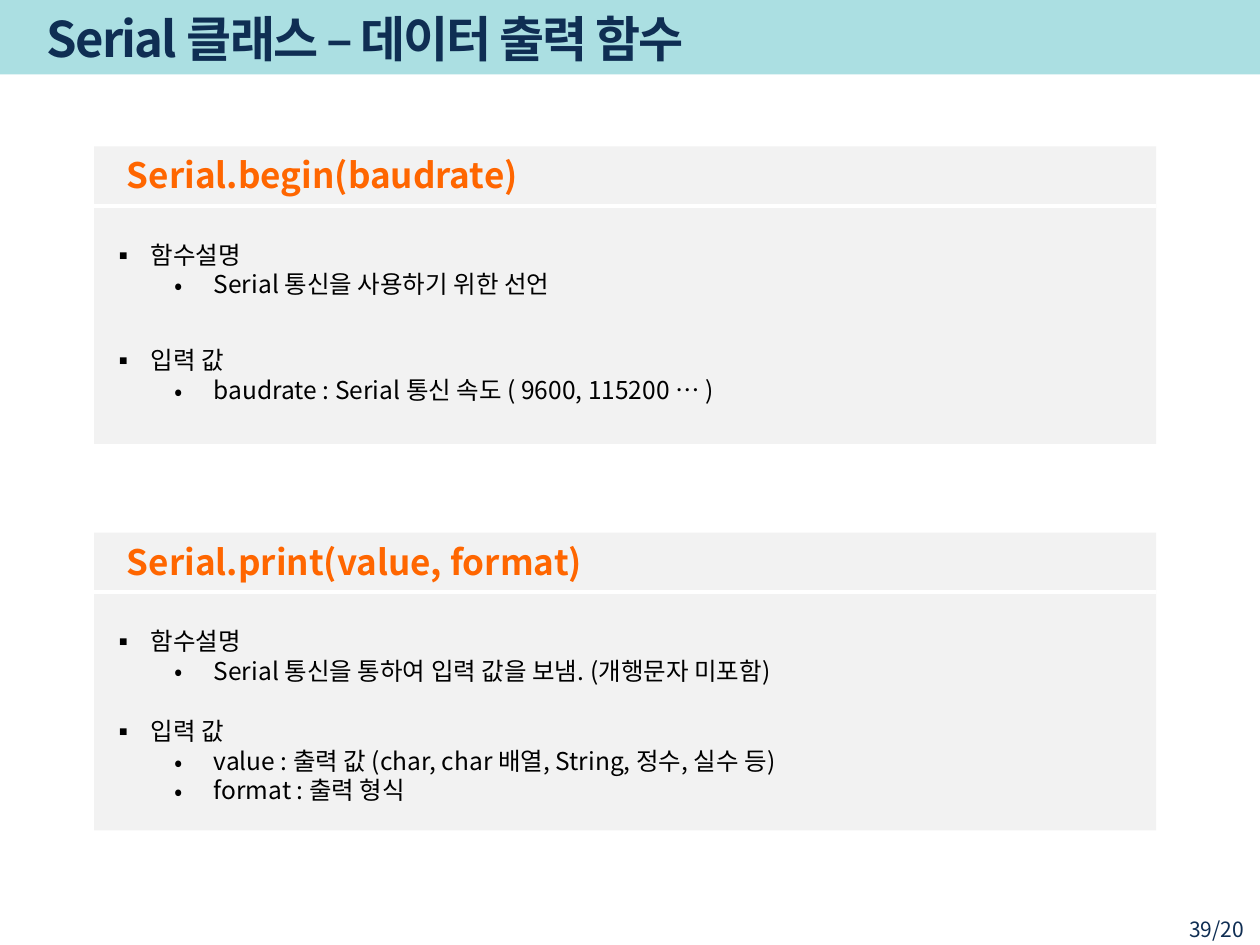
import pptx
import pptx.dml.color
import pptx.enum.shapes
import pptx.enum.text
import pptx.oxml.ns
import pptx.util
from lxml import etree

Cm = pptx.util.Cm
qn = pptx.oxml.ns.qn
FONT = "Noto Sans CJK KR"
NAVY = "0F2E53"
PANEL_LEFT, PANEL_WIDTH, PANEL_HEIGHT = 1.9, 21.41, 6
HEADER_HEIGHT = 1.2
INDENT = 0.79
BULLETS = [("▪", 0.79), ("•", 2.06)]

PANELS = [
    (2.95, "Serial.begin(baudrate)", [
        (1.75, 10.08, 1.45, ["함수설명", "Serial 통신을 사용하기 위한 선언"]),
        (3.88, 13.49, 1.45,
         ["입력 값", "baudrate : Serial 통신 속도 ( 9600, 115200 … )"]),
    ]),
    (10.74, "Serial.print(value, format)", [
        (1.75, 14.96, 1.45,
         ["함수설명", "Serial 통신을 통하여 입력 값을 보냄. (개행문자 미포함)"]),
        (3.56, 14.88, 2.06,
         ["입력 값",
          "value : 출력 값 (char, char 배열, String, 정수, 실수 등)",
          "format : 출력 형식"]),
    ]),
]


def rgb(color):
    """Turn a hex string into a colour."""
    return pptx.dml.color.RGBColor.from_string(color)


def add_rect(slide, left, top, width, height, color, alpha=None):
    """Add a plain filled rectangle, with alpha as a percentage."""
    sp = slide.shapes.add_shape(
        pptx.enum.shapes.MSO_SHAPE.RECTANGLE,
        Cm(left), Cm(top), Cm(width), Cm(height))
    sp.shadow.inherit = False
    sp.fill.solid()
    sp.fill.fore_color.rgb = rgb(color)
    sp.line.fill.background()
    if alpha is not None:
        clr = sp._element.spPr.find(qn("a:solidFill"))[0]
        etree.SubElement(clr, qn("a:alpha"), val=str(alpha * 1000))


def add_rule(slide, top):
    """Add the white line under a panel header."""
    line = slide.shapes.add_connector(
        pptx.enum.shapes.MSO_CONNECTOR.STRAIGHT,
        Cm(PANEL_LEFT), Cm(top), Cm(PANEL_LEFT + PANEL_WIDTH), Cm(top))
    line.line.color.rgb = rgb("FFFFFF")
    line.line.width = pptx.util.Pt(2.25)
    etree.SubElement(line._element.spPr, qn("a:effectLst"))


def add_text_frame(slide, left, top, width, height):
    """Add a wrapping, vertically centred text box and return its frame."""
    tf = slide.shapes.add_textbox(
        Cm(left), Cm(top), Cm(width), Cm(height)).text_frame
    tf.word_wrap = True
    tf.vertical_anchor = pptx.enum.text.MSO_ANCHOR.MIDDLE
    return tf


def set_font(p, size, color, bold=False, spacing=None):
    """Set the font of a paragraph for Latin and Korean text."""
    p.font.size = pptx.util.Pt(size)
    p.font.bold = bold
    p.font.color.rgb = rgb(color)
    p.font.name = FONT
    props = p._p.pPr.find(qn("a:defRPr"))
    etree.SubElement(props, qn("a:ea"), typeface=FONT)
    if spacing is not None:
        props.set("spc", str(int(spacing * 100)))


def add_label(slide, left, top, width, height, text, size, color, **style):
    """Add one line of text and return its paragraph."""
    p = add_text_frame(slide, left, top, width, height).paragraphs[0]
    p.text = text
    set_font(p, size, color, **style)
    return p


def add_bullets(slide, left, top, width, height, lines):
    """Add a bulleted heading followed by its second-level items."""
    tf = add_text_frame(slide, left, top, width, height)
    for i, text in enumerate(lines):
        p = tf.add_paragraph() if i else tf.paragraphs[0]
        p.text = text
        p.level = min(i, 1)
        char, margin = BULLETS[p.level]
        props = p._p.get_or_add_pPr()
        props.set("marL", str(Cm(margin)))
        props.set("indent", str(-Cm(INDENT)))
        etree.SubElement(props, qn("a:buFont"), typeface=FONT)
        etree.SubElement(props, qn("a:buChar"), char=char)
        set_font(p, 14, "000000")


def add_panel(slide, top, heading, blocks):
    """Add a grey panel describing one function."""
    add_rect(slide, PANEL_LEFT, top, PANEL_WIDTH, PANEL_HEIGHT, "F2F2F2")
    add_rule(slide, top + HEADER_HEIGHT)
    add_label(slide, 2.31, top - 0.03, 12, HEADER_HEIGHT,
              heading, 20, "FF6600", bold=True)
    for offset, width, height, lines in blocks:
        add_bullets(slide, 2, top + offset, width, height, lines)


def main():
    """Build the slide and save it."""
    prs = pptx.Presentation()
    prs.slide_width, prs.slide_height = Cm(25.4), Cm(19.05)
    slide = prs.slides.add_slide(prs.slide_layouts[6])
    add_rect(slide, 0, -0.05, 25.4, 1.55, "009EA8", alpha=33)
    add_label(slide, 0.69, 0.1, 21.11, 1.32, "Serial 클래스 – 데이터 출력 함수",
              28, NAVY, bold=True, spacing=-1)
    for panel in PANELS:
        add_panel(slide, *panel)
    page = add_label(slide, 22.99, 18.44, 2.34, 0.58, "39/20", 12, NAVY)
    page.alignment = pptx.enum.text.PP_ALIGN.RIGHT
    prs.save("out.pptx")


if __name__ == "__main__":
    main()
